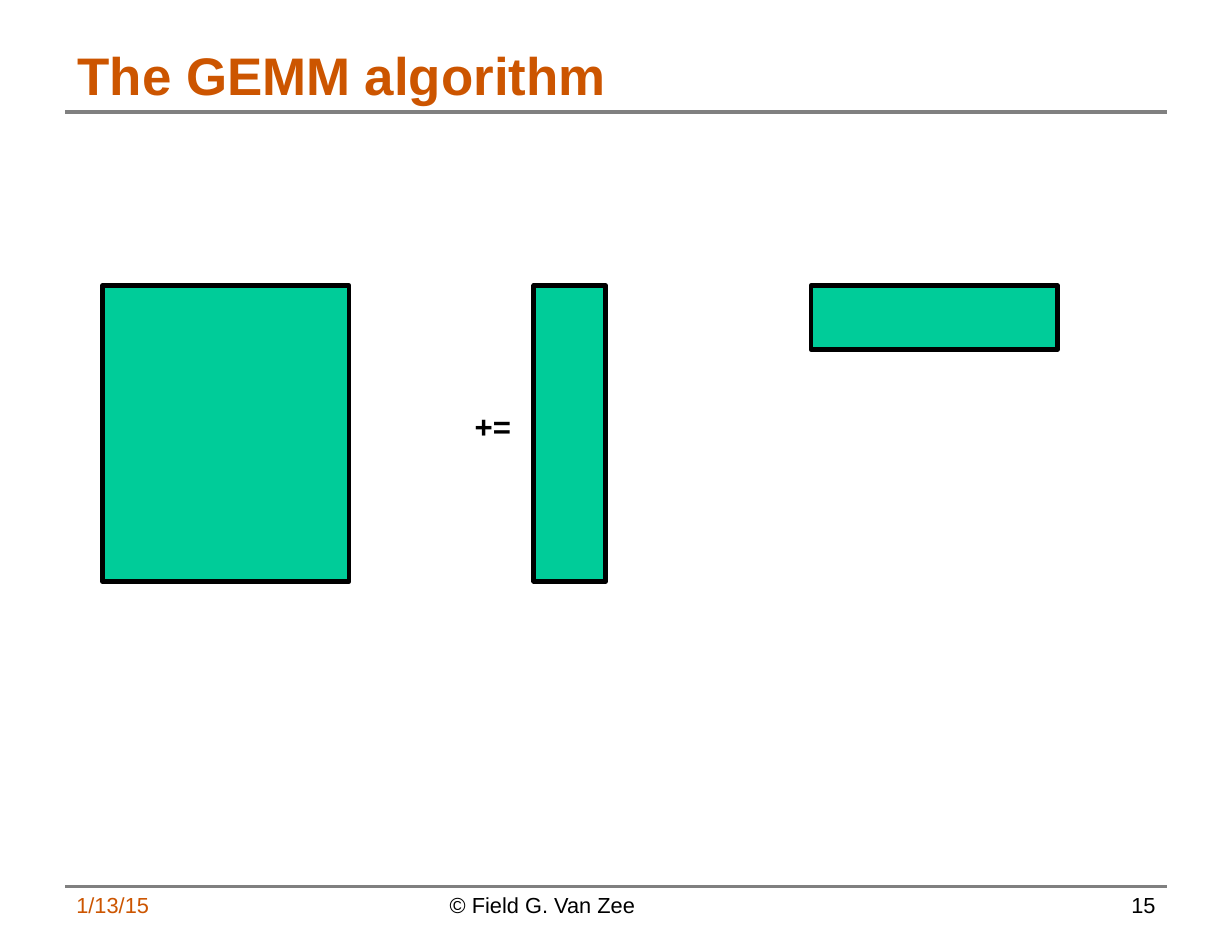
from pptx import Presentation
from pptx import util as u
from pptx.dml.color import RGBColor
from pptx.enum import shapes, text
from lxml import etree

ORANGE = RGBColor(0xCC, 0x55, 0x00)
GREEN = RGBColor(0x00, 0xCC, 0x99)
GRAY = RGBColor(0x80, 0x80, 0x80)
BLACK = RGBColor(0x00, 0x00, 0x00)

COLUMNS, ROWS = 132, 102
LEFT, WIDTH = 7, 118
HEADER_ROW, FOOTER_ROW, FOOTER_HEIGHT = 12, 95, 6.2
MATRIX_TOP, MATRIX_WIDTH, MATRIX_HEIGHT = 30.6, 26.4, 31.7
PANEL_WIDTH, PANEL_HEIGHT = 7.7, 6.85
DRAWING = "http://schemas.openxmlformats.org/drawingml/2006/main"


class SlideBuilder:
    font = "Arial"

    def __init__(self, presentation):
        self.cell_width = presentation.slide_width / COLUMNS
        self.cell_height = presentation.slide_height / ROWS
        self.slide = presentation.slides.add_slide(presentation.slide_layouts[5])

    def place(self, column, row, columns, rows):
        return [
            round(column * self.cell_width),
            round(row * self.cell_height),
            round(columns * self.cell_width),
            round(rows * self.cell_height),
        ]

    def apply(self, target, formats):
        for name, value in formats.items():
            setattr(target, name, value)

    def set_words(self, shape, words, size, color, bold=False,
                  alignment=text.PP_ALIGN.LEFT, **frame_formats):
        frame = shape.text_frame
        frame.text = words
        self.apply(frame, {"word_wrap": True, **frame_formats})
        paragraph = frame.paragraphs[0]
        paragraph.alignment = alignment
        font = paragraph.runs[0].font
        self.apply(font, {"name": self.font, "size": u.Pt(size), "bold": bold})
        font.color.rgb = color

    def title(self, words, *cells):
        shape = self.slide.shapes.title
        self.apply(shape, dict(zip(("left", "top", "width", "height"), self.place(*cells))))
        side, edge = u.Inches(0.11), u.Inches(0.06)
        self.set_words(shape, words, 34, ORANGE, bold=True,
                       auto_size=text.MSO_AUTO_SIZE.NONE,
                       vertical_anchor=text.MSO_ANCHOR.MIDDLE,
                       margin_left=side, margin_right=side,
                       margin_top=edge, margin_bottom=edge)

    def label(self, words, cells, size=14, color=BLACK, **formats):
        shape = self.slide.shapes.add_textbox(*self.place(*cells))
        self.set_words(shape, words, size, color, **formats)

    def matrix(self, *cells):
        shape = self.slide.shapes.add_shape(shapes.MSO_SHAPE.RECTANGLE, *self.place(*cells))
        shape.shadow.inherit = False
        shape.fill.solid()
        shape.fill.fore_color.rgb = GREEN
        shape.line.color.rgb = BLACK
        shape.line.width = u.Pt(3)

    def rule(self, row):
        left, top, width, _ = self.place(LEFT, row, WIDTH, 0)
        line = self.slide.shapes.add_connector(
            shapes.MSO_CONNECTOR.STRAIGHT, left, top, left + width, top)
        line.line.color.rgb = GRAY
        line.line.width = u.Pt(2.25)
        etree.SubElement(line._element.spPr, f"{{{DRAWING}}}effectLst")


def main():
    presentation = Presentation()
    presentation.slide_width = u.Inches(11)
    presentation.slide_height = u.Inches(8.5)
    builder = SlideBuilder(presentation)

    for row in (HEADER_ROW, FOOTER_ROW):
        builder.rule(row)
    builder.title("The GEMM algorithm", LEFT, 4, WIDTH, 8)

    builder.matrix(11, MATRIX_TOP, MATRIX_WIDTH, MATRIX_HEIGHT)
    builder.label("+=", (49.6, 43.1, 6.4, 5.3), size=20, bold=True,
                  alignment=text.PP_ALIGN.CENTER, word_wrap=False,
                  auto_size=text.MSO_AUTO_SIZE.SHAPE_TO_FIT_TEXT)
    builder.matrix(57.2, MATRIX_TOP, PANEL_WIDTH, MATRIX_HEIGHT)
    builder.matrix(86.9, MATRIX_TOP, MATRIX_WIDTH, PANEL_HEIGHT)

    builder.label("1/13/15", (LEFT, FOOTER_ROW, 31, FOOTER_HEIGHT), color=ORANGE)
    builder.label("© Field G. Van Zee", (47, FOOTER_ROW, 38, FOOTER_HEIGHT))
    builder.label("15", (94, FOOTER_ROW, 31, FOOTER_HEIGHT),
                  alignment=text.PP_ALIGN.RIGHT)

    presentation.save("out.pptx")


if __name__ == "__main__":
    main()
